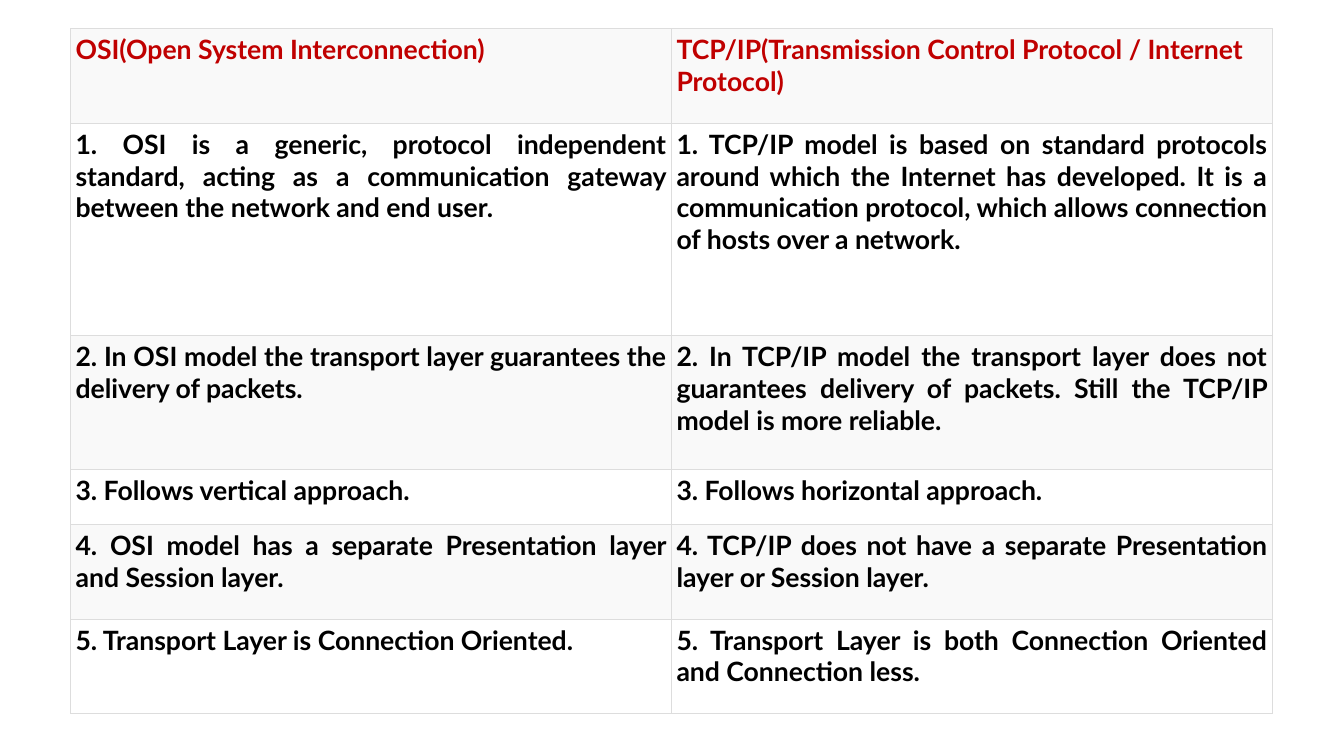
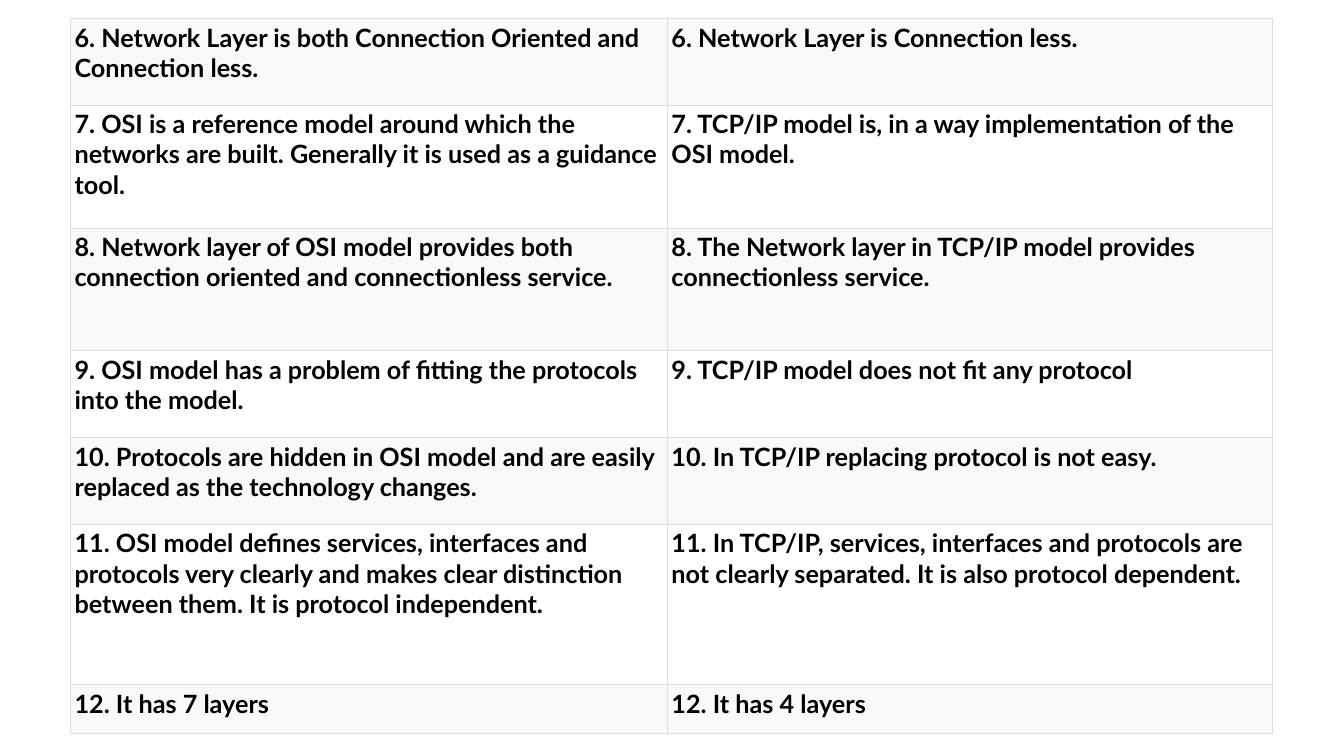
from lxml import etree
from pptx import Presentation
from pptx.dml.color import RGBColor
from pptx.enum.text import PP_ALIGN
from pptx.oxml.ns import qn
from pptx.util import Inches, Pt

LEFT = PP_ALIGN.LEFT
JUSTIFY = PP_ALIGN.JUSTIFY

FONT = "Lato"
HEADING = "C00000"
BODY = "000000"
STRIPE = "F9F9F9"
BORDER = "DDDDDD"
BORDER_WIDTH = 0.38
SLIDE_SIZE = (13.33, 7.5)
TABLE_LEFT = 0.7

COMPARISONS = [
    {
        "top": 0.28,
        "columns": [5.96, 5.96],
        "row_heights": [0.94, 2.11, 1.33, 0.54, 0.94, 0.94],
        "size": 19,
        "inset": 0.05,
        "align": JUSTIFY,
        "has_heading": True,
        "rows": [
            ("OSI(Open System Interconnection)",
             "TCP/IP(Transmission Control Protocol / Internet Protocol)"),
            ("1. OSI is a generic, protocol independent standard, acting as a "
             "communication gateway between the network and end user.",
             "1. TCP/IP model is based on standard protocols around which the "
             "Internet has developed. It is a communication protocol, which "
             "allows connection of hosts over a network."),
            ("2. In OSI model the transport layer guarantees the delivery of packets.",
             "2. In TCP/IP model the transport layer does not guarantees delivery "
             "of packets. Still the TCP/IP model is more reliable."),
            ("3. Follows vertical approach.",
             "3. Follows horizontal approach."),
            ("4. OSI model has a separate Presentation layer and Session layer.",
             "4. TCP/IP does not have a separate Presentation layer or Session layer."),
            ("5. Transport Layer is Connection Oriented.",
             "5. Transport Layer is both Connection Oriented and Connection less."),
        ],
    },
    {
        "top": 0.18,
        "columns": [5.92, 6],
        "row_heights": [0.86, 1.22, 1.22, 0.86, 0.86, 1.59, 0.49],
        "size": 18,
        "inset": 0.04,
        "align": LEFT,
        "has_heading": False,
        "rows": [
            ("6. Network Layer is both Connection Oriented and Connection less.",
             "6. Network Layer is Connection less."),
            ("7. OSI is a reference model around which the networks are built. "
             "Generally it is used as a guidance tool.",
             "7. TCP/IP model is, in a way implementation of the OSI model."),
            ("8. Network layer of OSI model provides both connection oriented "
             "and connectionless service.",
             "8. The Network layer in TCP/IP model provides connectionless service."),
            ("9. OSI model has a problem of fitting the protocols into the model.",
             "9. TCP/IP model does not fit any protocol"),
            ("10. Protocols are hidden in OSI model and are easily replaced as "
             "the technology changes.",
             "10. In TCP/IP replacing protocol is not easy."),
            ("11. OSI model defines services, interfaces and protocols very "
             "clearly and makes clear distinction between them. It is protocol "
             "independent.",
             "11. In TCP/IP, services, interfaces and protocols are not clearly "
             "separated. It is also protocol dependent."),
            ("12. It has 7 layers", "12. It has 4 layers"),
        ],
    },
]


def rgb(value):
    return RGBColor.from_string(value)


def write_text(frame, text, size, color, align):
    paragraph = frame.paragraphs[0]
    paragraph.alignment = align
    run = paragraph.add_run()
    run.text = text
    run.font.name = FONT
    run.font.size = Pt(size)
    run.font.bold = True
    run.font.color.rgb = rgb(color)


def draw_borders(cell):
    properties = cell._tc.get_or_add_tcPr()
    for index, side in enumerate(("a:lnL", "a:lnR", "a:lnT", "a:lnB")):
        line = etree.Element(qn(side), w=str(Pt(BORDER_WIDTH)))
        fill = etree.SubElement(line, qn("a:solidFill"))
        etree.SubElement(fill, qn("a:srgbClr"), val=BORDER)
        properties.insert(index, line)


def style_cell(cell, inset, striped):
    cell.margin_left = cell.margin_right = Inches(inset)
    cell.margin_top = cell.margin_bottom = Inches(inset)
    if striped:
        cell.fill.solid()
        cell.fill.fore_color.rgb = rgb(STRIPE)
    else:
        cell.fill.background()
    draw_borders(cell)


def add_comparison(slide, comparison):
    rows, columns = comparison["rows"], comparison["columns"]
    heights = comparison["row_heights"]
    table = slide.shapes.add_table(
        len(rows), len(columns), Inches(TABLE_LEFT), Inches(comparison["top"]),
        Inches(sum(columns)), Inches(sum(heights))).table
    table.first_row = table.horz_banding = False
    for column, width in zip(table.columns, columns):
        column.width = Inches(width)
    for row_index, (row, height, texts) in enumerate(zip(table.rows, heights, rows)):
        row.height = Inches(height)
        is_heading = comparison["has_heading"] and row_index == 0
        for cell, text in zip(row.cells, texts):
            style_cell(cell, comparison["inset"], striped=row_index % 2 == 0)
            write_text(cell.text_frame, text, size=comparison["size"],
                       color=HEADING if is_heading else BODY,
                       align=LEFT if is_heading else comparison["align"])


def main():
    presentation = Presentation()
    presentation.slide_width, presentation.slide_height = map(Inches, SLIDE_SIZE)
    blank = presentation.slide_layouts[6]
    for comparison in COMPARISONS:
        add_comparison(presentation.slides.add_slide(blank), comparison)
    presentation.save("out.pptx")


if __name__ == "__main__":
    main()
